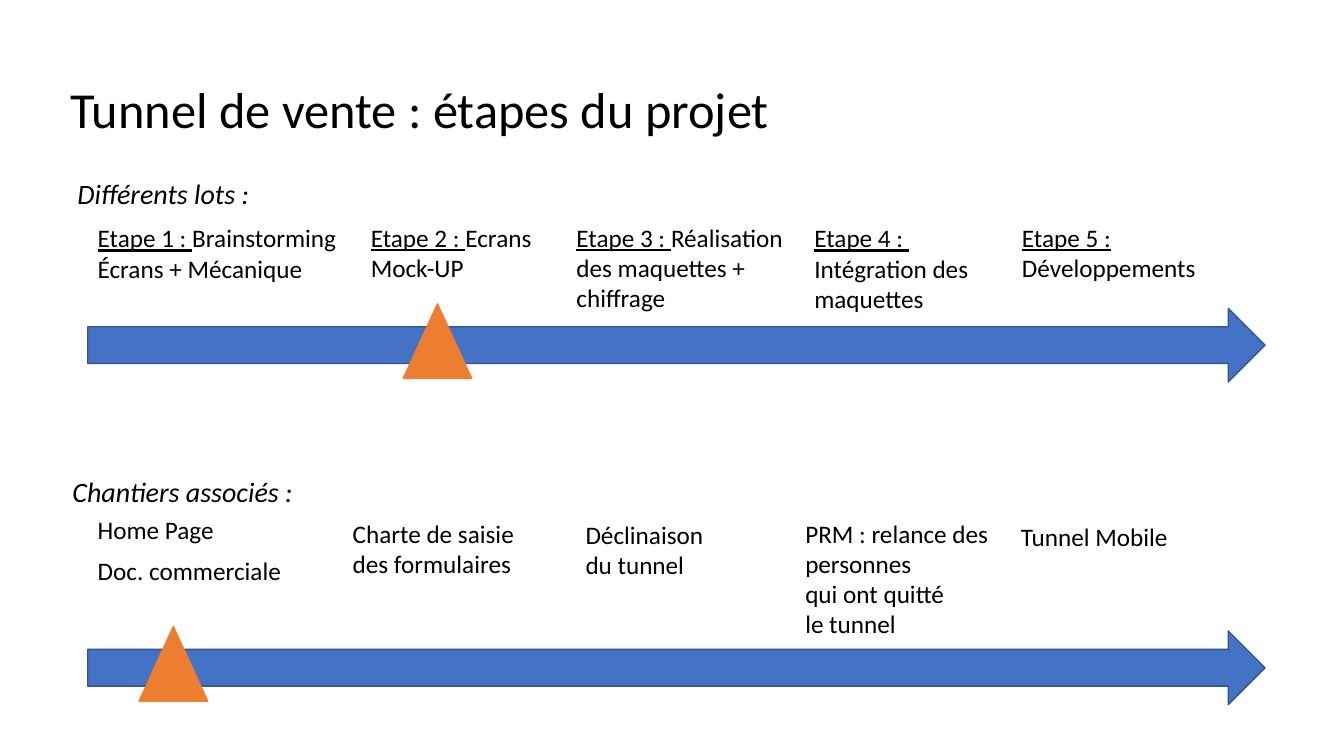
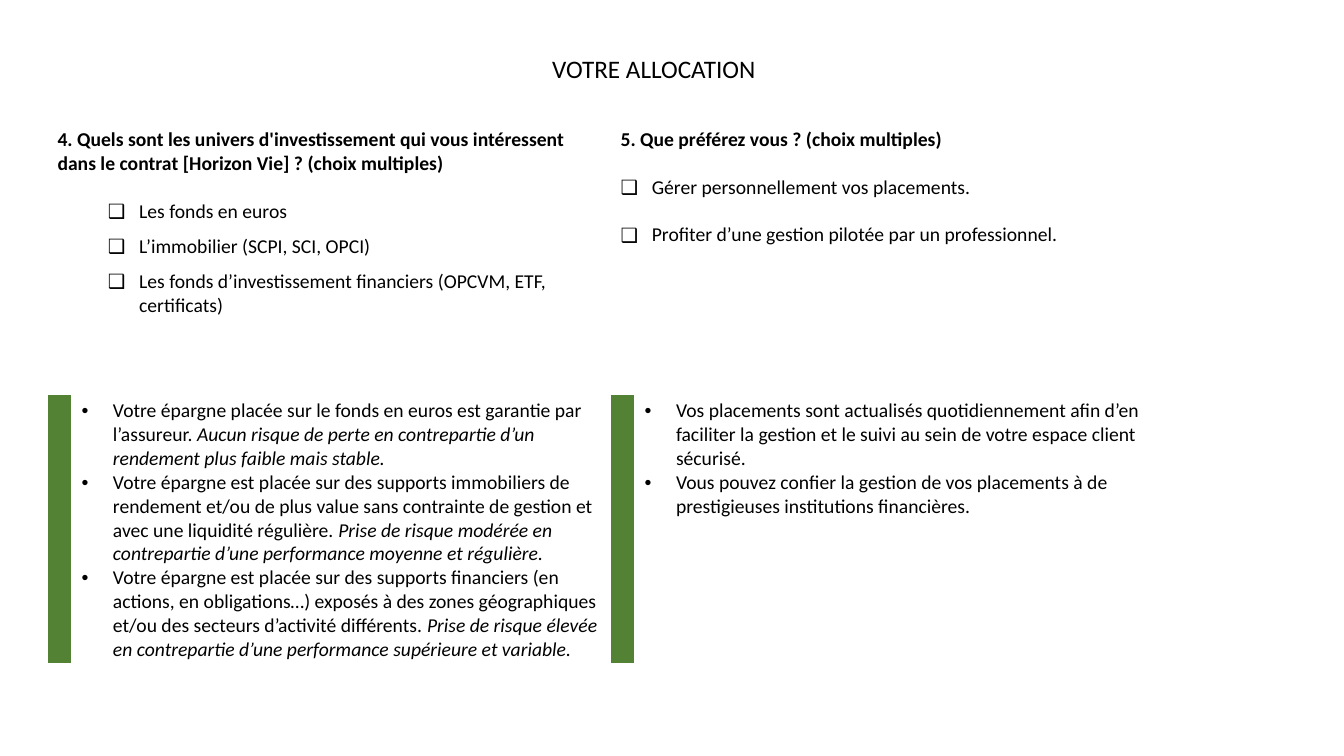
from lxml import etree
from pptx import Presentation
from pptx.dml.color import RGBColor
from pptx.enum.shapes import MSO_SHAPE
from pptx.enum.text import MSO_ANCHOR, MSO_AUTO_SIZE, PP_ALIGN
from pptx.oxml.ns import qn
from pptx.util import Inches, Pt

ARROW, TRIANGLE = MSO_SHAPE.RIGHT_ARROW, MSO_SHAPE.ISOSCELES_TRIANGLE
MIDDLE, FIT = MSO_ANCHOR.MIDDLE, MSO_AUTO_SIZE.SHAPE_TO_FIT_TEXT
CENTER = PP_ALIGN.CENTER
WIDTH, HEIGHT = Inches(13.333), Inches(7.5)
FONT = "Calibri"
COLORS = {"text": "000000", "arrow": "4472C4", "edge": "325491",
          "marker": "ED7D31", "band": "548235"}
HANGING = 2.33

STAGES = [
    (6.53, 28.8, 19.43, [[("Etape 1 : ", "u"), ("Brainstorming", "")],
                         [("Écrans + Mécanique", "")]]),
    (26.85, 28.7, 14.03, [[("Etape 2 : ", "u"), ("Ecrans", "")],
                          [("Mock-UP", "")]]),
    (42.15, 28.7, 17.03, [[("Etape 3 : ", "u"), ("Réalisation", "")],
                          [("des maquettes +", "")], [("chiffrage", "")]]),
    (59.85, 28.8, 13.58, [[("Etape 4 : ", "u")],
                          [("Intégration des", "")], [("maquettes", "")]]),
    (75.3, 28.7, 14.63, [[("Etape 5 :", "u")], [("Développements", "")]]),
]
WORKS = [
    (6.53, 67.33, 10.28, ["Home Page"]),
    (6.53, 72.8, 15.3, ["Doc. commerciale"]),
    (25.5, 67.87, 13.65, ["Charte de saisie", "des formulaires"]),
    (42.83, 68, 10.8, ["Déclinaison", "du tunnel"]),
    (59.18, 67.87, 15.75, ["PRM : relance des", "personnes", "qui ont quitté", "le tunnel"]),
    (75.23, 68.27, 12.53, ["Tunnel Mobile"]),
]
QUESTIONS = [
    ("4. Quels sont les univers d'investissement qui vous intéressent dans le contrat "
     "[Horizon Vie] ? (choix multiples)",
     ["Les fonds en euros", "L’immobilier (SCPI, SCI, OPCI)",
      "Les fonds d’investissement financiers (OPCVM, ETF, certificats)"], 6.08, 8),
    ("5. Que préférez vous ? (choix multiples)",
     ["Gérer personnellement vos placements.",
      "Profiter d’une gestion pilotée par un professionnel."], HANGING, 17),
]
NOTES = [
    [[("Votre épargne placée sur le fonds en euros est garantie par l’assureur. ", ""),
      ("Aucun risque de perte en contrepartie d’un rendement plus faible mais stable.", "i")],
     [("Votre épargne est placée sur des supports immobiliers de rendement et/ou de plus "
       "value sans contrainte de gestion et avec une liquidité régulière. ", ""),
      ("Prise de risque modérée en contrepartie d’une performance moyenne et régulière.", "i")],
     [("Votre épargne est placée sur des supports financiers (en actions, en obligations…) "
       "exposés à des zones géographiques et/ou des secteurs d’activité différents. ", ""),
      ("Prise de risque élevée en contrepartie d’une performance supérieure et variable.", "i")]],
    [[("Vos placements sont actualisés quotidiennement afin d’en faciliter la gestion et le "
       "suivi au sein de votre espace client sécurisé.", "")],
     [("Vous pouvez confier la gestion de vos placements à de prestigieuses institutions "
       "financières.", "")]],
]


def across(share):
    """Turn a percentage of the slide width into a length."""
    return round(WIDTH * share / 100)


def down(share):
    """Turn a percentage of the slide height into a length."""
    return round(HEIGHT * share / 100)


def place(left, top, width, height):
    """Turn four percentages into a position and a size."""
    return across(left), down(top), across(width), down(height)


def color(name):
    """Look up a named colour."""
    return RGBColor.from_string(COLORS[name])


def add_spans(para, spans, size):
    """Add styled runs; the style letters are b, i and u."""
    for text, style in spans:
        span = para.add_run()
        span.text = text
        font = span.font
        font.name, font.size, font.color.rgb = FONT, Pt(size), color("text")
        font.bold, font.italic, font.underline = (letter in style for letter in "biu")


def add_paras(frame, paras, size):
    """Fill a text frame and return its paragraphs."""
    for index, spans in enumerate(paras):
        para = frame.add_paragraph() if index else frame.paragraphs[0]
        add_spans(para, spans, size)
    return frame.paragraphs


def add_bullet(para, symbol, indent):
    """Give a paragraph a hanging bullet."""
    properties = para._p.get_or_add_pPr()
    properties.set("marL", str(across(indent)))
    properties.set("indent", str(-across(HANGING)))
    etree.SubElement(properties, qn("a:buFont")).set("typeface", "Arial")
    etree.SubElement(properties, qn("a:buChar")).set("char", symbol)


def add_label(page, left, top, width, paras, size=18, wrap=False):
    """Add a text box as tall as its lines."""
    height = (1.33 + 4 * len(paras)) * size / 18
    box = page.shapes.add_textbox(*place(left, top, width, height))
    box.text_frame.word_wrap = wrap
    box.text_frame.auto_size = FIT
    return add_paras(box.text_frame, paras, size)


def add_title(page, text):
    """Add the large slide title."""
    frame = page.shapes.add_textbox(*place(4.5, 5.2, 86.25, 19.33)).text_frame
    frame.word_wrap, frame.vertical_anchor = True, MIDDLE
    add_paras(frame, [[(text, "")]], 36)[0].line_spacing = 0.9


def add_solid(page, kind, area, fill, edge):
    """Add a filled, outlined preset shape."""
    shape = page.shapes.add_shape(kind, *place(*area))
    shape.shadow.inherit = False
    shape.fill.solid()
    shape.fill.fore_color.rgb = color(fill)
    shape.line.color.rgb = color(edge)
    shape.line.width = Pt(1)


def add_timeline(page, top, marker_left):
    """Add a progress arrow with its marker."""
    add_solid(page, ARROW, (6.53, top, 87.6, 9.73), "arrow", "edge")
    add_solid(page, TRIANGLE, (marker_left, top - 0.6, 5.1, 9.87), "marker", "marker")


def add_question(cell, question, choices, indent, gap):
    """Fill a cell with a question and its tick boxes."""
    lines = [[(question, "b")]] + [[(choice, "")] for choice in choices]
    heading, *options = add_paras(cell.text_frame, lines, 14)
    heading.space_after = Pt(17)
    for para in options:
        para.space_after = Pt(gap)
        add_bullet(para, "❑", indent)


def add_allocation(page):
    """Add the table of questions and notes."""
    table = page.shapes.add_table(2, 4, *place(3.53, 16.27, 83.7, 71.34)).table
    table.first_row = table.horz_banding = False
    for column, share in zip(table.columns, (1.75, 40.1) * 2):
        column.width = across(share)
    for row, share in zip(table.rows, (35.87, 35.47)):
        row.height = down(share)
    for cell in table.iter_cells():
        cell.fill.background()
    for index, (question, notes) in enumerate(zip(QUESTIONS, NOTES)):
        first = 2 * index
        head, band = table.cell(0, first), table.cell(1, first)
        head.merge(table.cell(0, first + 1))
        add_question(head, *question)
        band.fill.solid()
        band.fill.fore_color.rgb = color("band")
        for para in add_paras(table.cell(1, first + 1).text_frame, notes, 14):
            add_bullet(para, "•", HANGING)


def build_steps(page):
    """Build the project steps slide."""
    add_title(page, "Tunnel de vente : étapes du projet")
    add_label(page, 5.03, 22.67, 14.48, [[("Différents lots :", "i")]], 20)
    add_label(page, 4.65, 62.13, 18.08, [[("Chantiers associés :", "i")]], 20)
    for stage in STAGES:
        add_label(page, *stage)
    for left, top, width, lines in WORKS:
        add_label(page, left, top, width, [[(line, "")] for line in lines])
    add_timeline(page, 40.8, 30)
    add_timeline(page, 83.47, 10.35)


def build_allocation(page):
    """Build the allocation questions slide."""
    add_allocation(page)
    heading = add_label(page, 22.13, 6.4, 53.03, [[("VOTRE ALLOCATION", "")]], wrap=True)
    heading[0].alignment = CENTER


def main():
    """Build and save the deck."""
    deck = Presentation()
    deck.slide_width, deck.slide_height = WIDTH, HEIGHT
    for build in (build_steps, build_allocation):
        build(deck.slides.add_slide(deck.slide_layouts[6]))
    deck.save("out.pptx")


if __name__ == "__main__":
    main()
